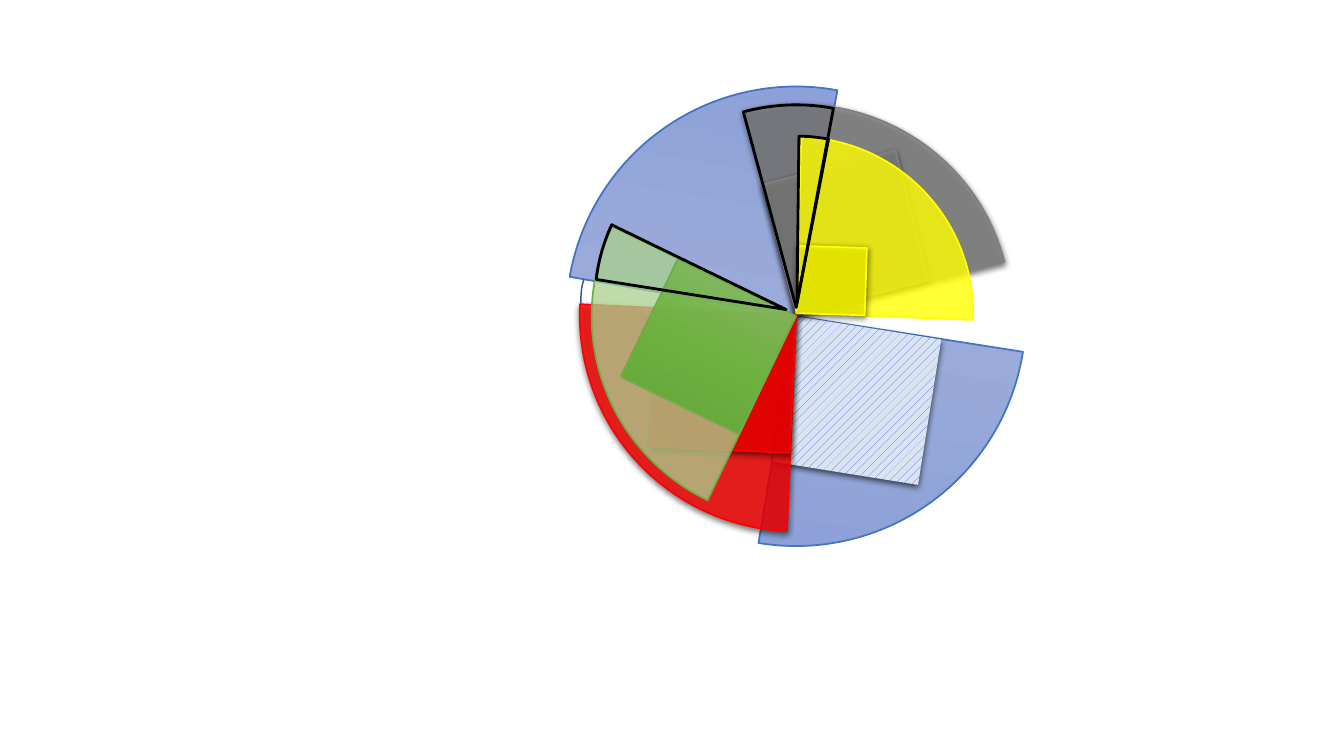
"""Build a slide with a wheel of overlapping translucent quadrants."""
import math

from lxml import etree
from pptx import Presentation, util as u
from pptx.dml.color import RGBColor
from pptx.enum import dml, shapes
from pptx.oxml.ns import qn

COLOURS = {
    "blue": "4472C4", "blue_top": "A8B7DF", "blue_mid": "9AABD9", "blue_low": "889ED7",
    "pale_blue": "DAE3F3", "navy": "325491", "grey": "808080", "yellow": "FFFF00",
    "red": "FF0000", "pale_green": "A9D18E", "green": "70AD47", "green_top": "81B861",
    "green_mid": "6FB242", "green_low": "62A336", "black": "000000",
}
QUADRANT = (0, 54.289)
BLUE_BLEND = (90, [(0, "blue_top", 100), (50, "blue_mid", 100), (100, "blue_low", 100)])
GREEN_BLEND = (0, [(0, "green_top", 67), (50, "green_mid", 100), (100, "green_low", 100)])
SQUARE_EXTRA_TURN = 0.2


def rgb(name):
    """Return the named colour."""
    return RGBColor.from_string(COLOURS[name])


def add_colour(parent, name, opacity):
    """Append a colour element with its opacity in percent."""
    colour = etree.SubElement(parent, qn("a:srgbClr"), val=COLOURS[name])
    if opacity < 100:
        etree.SubElement(colour, qn("a:alpha"), val=str(opacity * 1000))


def fill_solid(piece, name, opacity=100):
    """Fill a piece with one colour, translucent if asked."""
    piece.fill.solid()
    piece.fill.fore_color.rgb = rgb(name)
    if opacity < 100:
        colour = piece._element.spPr.find(qn("a:solidFill"))[0]
        etree.SubElement(colour, qn("a:alpha"), val=str(opacity * 1000))


def fill_blend(piece, angle, stops):
    """Fill a piece with a linear gradient."""
    piece.fill.gradient()
    blend = piece._element.spPr.find(qn("a:gradFill"))
    for child in list(blend):
        blend.remove(child)
    stop_list = etree.SubElement(blend, qn("a:gsLst"))
    for position, name, opacity in stops:
        stop = etree.SubElement(stop_list, qn("a:gs"), pos=str(position * 1000))
        add_colour(stop, name, opacity)
    etree.SubElement(blend, qn("a:lin"), ang=str(angle * 60000), scaled="0")


def cast_shadow(piece):
    """Give a piece a soft shadow below it."""
    effects = piece._element.spPr.find(qn("a:effectLst"))
    shadow = etree.SubElement(
        effects, qn("a:outerShdw"), blurRad=str(u.Pt(4.5)), dist=str(u.Pt(1.5)),
        dir="5400000", algn="ctr", rotWithShape="0")
    add_colour(shadow, "black", 63)


def add_piece(parent, preset, box, turn, edge=None, width=1.25, adjust=()):
    """Add a turned, unfilled preset shape in a box of centimetres."""
    piece = parent.add_shape(preset, *(u.Cm(length) for length in box))
    piece.rotation = turn
    piece.shadow.inherit = False
    for index, value in enumerate(adjust):
        piece.adjustments[index] = value
    piece.fill.background()
    if edge:
        piece.line.color.rgb = rgb(edge)
        piece.line.width = u.Pt(width)
    else:
        piece.line.fill.background()
    return piece


def add_quadrant(parent, box, turn, edge, square_size, square_edge):
    """Add a quarter wheel and a square whose corner is at its centre."""
    quarter = add_piece(parent, shapes.MSO_SHAPE.PIE, box, turn, edge, adjust=QUADRANT)
    left, top, width, height = box
    side, rise = square_size
    square_turn = turn + SQUARE_EXTRA_TURN
    cos, sin = math.cos(math.radians(square_turn)), math.sin(math.radians(square_turn))
    centre_x = left + width / 2 + (side * cos - rise * sin) / 2
    centre_y = top + height / 2 + (side * sin + rise * cos) / 2
    square_box = (centre_x - side / 2, centre_y - rise / 2, side, rise)
    square = add_piece(parent, shapes.MSO_SHAPE.RECTANGLE, square_box, square_turn, square_edge)
    return quarter, square


def add_blue_quadrants(parent, box):
    """Add the two facing blue quadrants and the hatched square."""
    lower, hatched = add_quadrant(parent, box, 8.9, "blue", (3.71, 3.71), None)
    fill_blend(lower, *BLUE_BLEND)
    hatched.fill.patterned()
    hatched.fill.pattern = dml.MSO_PATTERN.PERCENT_20
    hatched.fill.fore_color.rgb = rgb("blue")
    hatched.fill.back_color.rgb = rgb("pale_blue")
    cast_shadow(hatched)
    upper = add_piece(parent, shapes.MSO_SHAPE.PIE, box, 189.9, "blue", adjust=QUADRANT)
    fill_blend(upper, *BLUE_BLEND)


def add_plain_quadrant(slide, box, turn, colour, opacity, square_size, quarter_shadow=True):
    """Add a grouped quadrant and square of one translucent colour."""
    group = slide.shapes.add_group_shape()
    quarter, square = add_quadrant(group.shapes, box, turn, colour, square_size, colour)
    for piece in (quarter, square):
        fill_solid(piece, colour, opacity)
    if quarter_shadow:
        cast_shadow(quarter)
    cast_shadow(square)


def add_green_quadrant(slide, box):
    """Add the grouped pale green quadrant with its blended square."""
    group = slide.shapes.add_group_shape()
    quarter, square = add_quadrant(group.shapes, box, 115.6, "green", (3.3, 3.3), "green")
    fill_solid(quarter, "pale_green", 76)
    fill_blend(square, *GREEN_BLEND)


def add_rim_arc(parent, box):
    """Add the thin arc at the left rim."""
    arc = add_piece(parent, shapes.MSO_SHAPE.BLOCK_ARC, box, 270, "navy", 1,
                    (148.89, 209.154, 0))
    fill_solid(arc, "blue")


def add_overlap_outlines(parent):
    """Outline in black the sectors where quadrants overlap."""
    sectors = [
        ((14.96, 2.64, 10.21, 10.21), 189.9, (38.986, 54.411)),
        ((15.88, 3.43, 8.41, 8.41), 190.2, (48.276, 54.411)),
        ((15.11, 2.9, 9.4, 9.8), 129.3, (35.826, 45.964)),
    ]
    for box, turn, angles in sectors:
        add_piece(parent, shapes.MSO_SHAPE.PIE, box, turn, "black", 2, angles)


def main():
    """Build and save the slide."""
    deck = Presentation()
    deck.slide_width, deck.slide_height = u.Cm(33.87), u.Cm(19.05)
    slide = deck.slides.add_slide(deck.slide_layouts[6])
    add_blue_quadrants(slide.shapes, (14.27, 2.18, 11.58, 11.58))
    add_plain_quadrant(slide, (14.78, 2.51, 10.57, 10.82), 255.4, "grey", 80, (3.38, 3.45))
    add_plain_quadrant(slide, (15.62, 3.43, 8.89, 8.92), 271.7, "yellow", 80, (1.7, 1.73),
                       quarter_shadow=False)
    add_plain_quadrant(slide, (14.61, 2.49, 10.9, 10.9), 92.4, "red", 78, (3.48, 3.48))
    add_rim_arc(slide.shapes, (14.17, 7.39, 1.3, 0.36))
    add_green_quadrant(slide, (14.91, 2.82, 10.29, 10.29))
    add_overlap_outlines(slide.shapes)
    deck.save("out.pptx")


if __name__ == "__main__":
    main()
